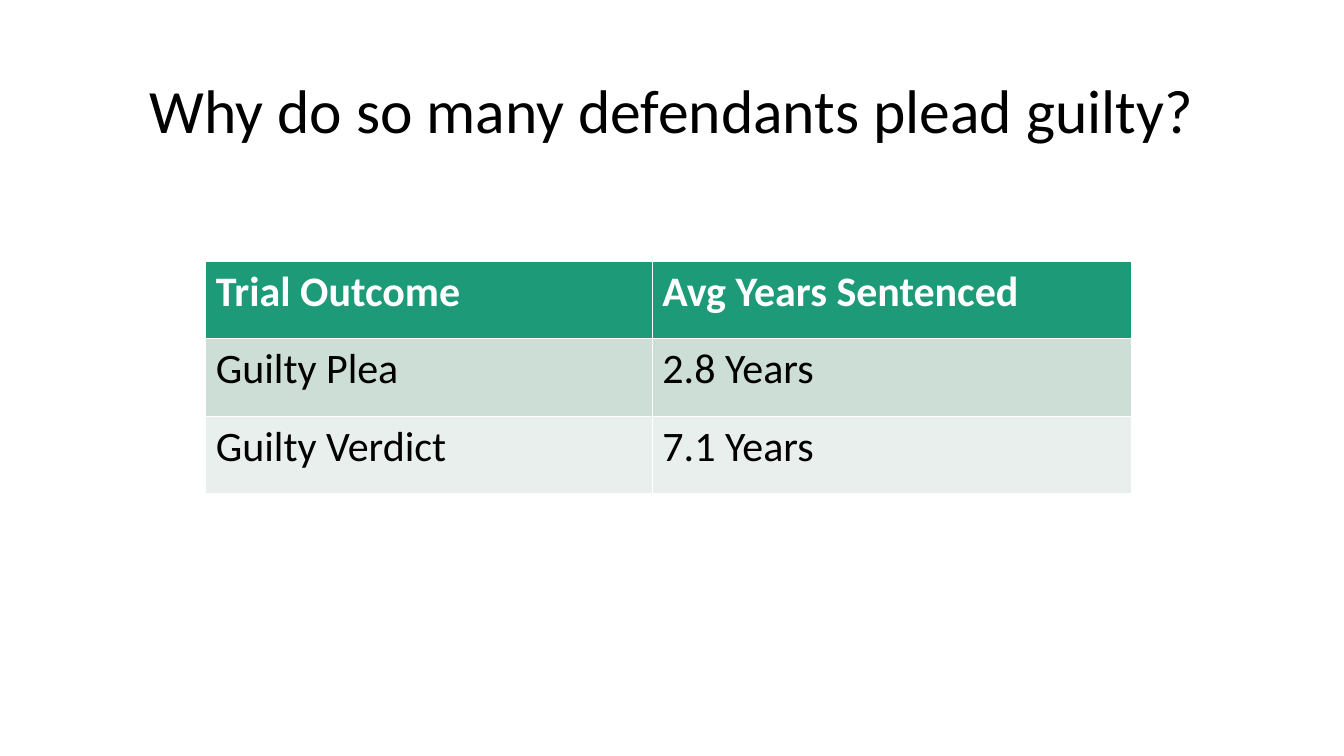
from pptx import Presentation
from pptx.dml.color import RGBColor
from pptx.enum.text import MSO_ANCHOR as Anchor, PP_ALIGN as Align
from pptx.util import Pt

BLACK = RGBColor(0x00, 0x00, 0x00)
WHITE = RGBColor(0xFF, 0xFF, 0xFF)
GREEN = RGBColor(0x1D, 0x9A, 0x78)
SAGE = RGBColor(0xCD, 0xDE, 0xD6)
MIST = RGBColor(0xE8, 0xEF, 0xEC)

OUTCOMES = [
    ("Trial Outcome", "Avg Years Sentenced"),
    ("Guilty Plea", "2.8 Years"),
    ("Guilty Verdict", "7.1 Years"),
]
ROW_STYLES = [(GREEN, WHITE, True), (SAGE, BLACK, False), (MIST, BLACK, False)]


class SlideBuilder:
    """Adds styled elements to one slide, with lengths in points."""

    font_name = "Calibri"

    def __init__(self, page):
        self.page = page

    def add_span(self, para, text, size, color, bold=False):
        span = para.add_run()
        span.text = text
        span.font.color.rgb = color
        values = {"name": self.font_name, "size": Pt(size), "bold": bold}
        for name, value in values.items():
            setattr(span.font, name, value)

    def title(self, text, left, top, width, height, size):
        box = self.page.shapes.title
        places = {"left": left, "top": top, "width": width, "height": height}
        for name, value in places.items():
            setattr(box, name, Pt(value))
        box.text_frame.vertical_anchor = Anchor.MIDDLE
        para = box.text_frame.paragraphs[0]
        for name, value in {"alignment": Align.CENTER, "line_spacing": 0.9}.items():
            setattr(para, name, value)
        self.add_span(para, text, size, BLACK)

    def table(self, rows, styles, left, top, widths, row_height, size):
        frame = self.page.shapes.add_table(
            len(rows), len(widths), Pt(left), Pt(top),
            Pt(sum(widths)), Pt(row_height * len(rows)))
        grid = frame.table
        for column, width in zip(grid.columns, widths):
            column.width = Pt(width)
        for row, texts, (fill, color, bold) in zip(grid.rows, rows, styles):
            row.height = Pt(row_height)
            for cell, text in zip(row.cells, texts):
                cell.fill.solid()
                cell.fill.fore_color.rgb = fill
                self.add_span(cell.text_frame.paragraphs[0], text, size, color, bold)


def main():
    deck = Presentation()
    deck.slide_width, deck.slide_height = Pt(960), Pt(540)
    page = deck.slides.add_slide(deck.slide_layouts.get_by_name("Title Only"))
    builder = SlideBuilder(page)
    builder.title("Why do so many defendants plead guilty?", 66, 28.8, 828, 104.4, 44)
    builder.table(OUTCOMES, ROW_STYLES, 147, 186.6, (319, 342), 55.4, 30)
    deck.save("out.pptx")


if __name__ == "__main__":
    main()
